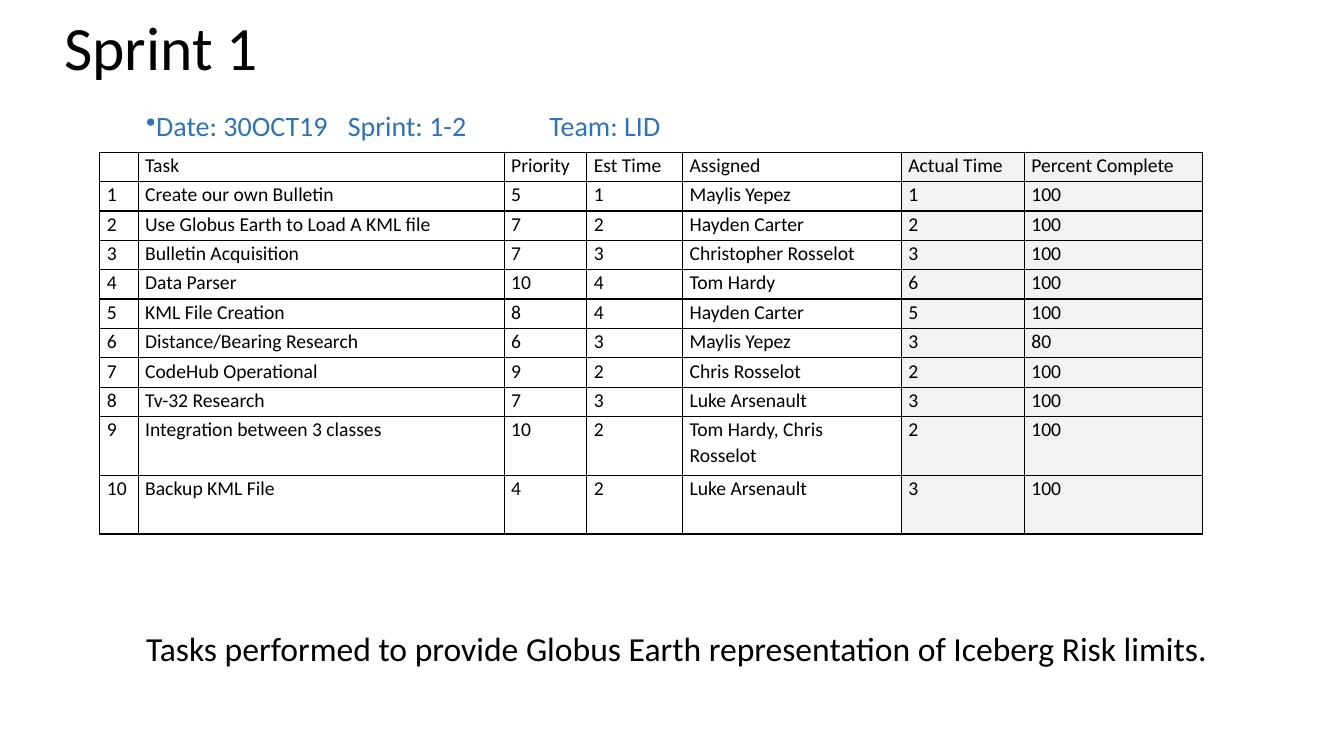
from lxml import etree
from pptx import Presentation
from pptx.dml.color import RGBColor
from pptx.enum import text as t
from pptx.oxml.ns import qn
from pptx.util import Inches, Pt

BLACK = RGBColor(0x00, 0x00, 0x00)
BLUE = RGBColor(0x2E, 0x74, 0xB5)
LIGHT_GRAY = RGBColor(0xF2, 0xF2, 0xF2)
FONT = "Calibri"

HEADERS = ["", "Task", "Priority", "Est Time", "Assigned", "Actual Time", "Percent Complete"]
TASKS = [
    ("Create our own Bulletin", 5, 1, "Maylis Yepez", 1, 100),
    ("Use Globus Earth to Load A KML file", 7, 2, "Hayden Carter", 2, 100),
    ("Bulletin Acquisition", 7, 3, "Christopher Rosselot", 3, 100),
    ("Data Parser", 10, 4, "Tom Hardy", 6, 100),
    ("KML File Creation", 8, 4, "Hayden Carter", 5, 100),
    ("Distance/Bearing Research", 6, 3, "Maylis Yepez", 3, 80),
    ("CodeHub Operational", 9, 2, "Chris Rosselot", 2, 100),
    ("Tv-32 Research", 7, 3, "Luke Arsenault", 3, 100),
    ("Integration between 3 classes", 10, 2, "Tom Hardy, Chris Rosselot", 2, 100),
    ("Backup KML File", 4, 2, "Luke Arsenault", 3, 100),
]
COLUMN_WIDTHS = [0.38, 3.63, 0.82, 0.95, 2.17, 1.22, 1.77]
ROW_UNITS = [1] * 9 + [2] * 2
FIRST_SHADED_COLUMN = 5


def write_text(frame, content, size=14, color=BLACK, line_spacing=None, bullet=None, tabs=()):
    paragraph = frame.paragraphs[0]
    paragraph.line_spacing = line_spacing
    if bullet:
        properties = paragraph._p.get_or_add_pPr()
        properties.set("marL", "0")
        properties.set("indent", "0")
        etree.SubElement(properties, qn("a:buChar"), char=bullet)
        tab_list = etree.SubElement(properties, qn("a:tabLst"))
        for position in tabs:
            etree.SubElement(tab_list, qn("a:tab"), pos=str(Inches(position)), algn="l")
    if not content:
        etree.SubElement(paragraph._p, qn("a:endParaRPr"), sz=str(size * 100))
        return
    run = paragraph.add_run()
    run.text = content
    run.font.name = FONT
    run.font.size = Pt(size)
    run.font.color.rgb = color


def add_text(slide, box, content, anchor=t.MSO_ANCHOR.TOP, insets=(0.1, 0.05, 0.1, 0.05), **style):
    frame = slide.shapes.add_textbox(*map(Inches, box)).text_frame
    frame.word_wrap = True
    frame.vertical_anchor = anchor
    (frame.margin_left, frame.margin_top,
     frame.margin_right, frame.margin_bottom) = map(Inches, insets)
    write_text(frame, content, **style)


def add_borders(cell):
    properties = cell._tc.get_or_add_tcPr()
    for side in ("lnL", "lnR", "lnT", "lnB"):
        line = etree.SubElement(properties, qn(f"a:{side}"), w=str(Pt(1)))
        fill = etree.SubElement(line, qn("a:solidFill"))
        etree.SubElement(fill, qn("a:srgbClr"), val=str(BLACK))


def add_task_table(slide, box):
    rows = [HEADERS] + [(number, *task) for number, task in enumerate(TASKS, 1)]
    table = slide.shapes.add_table(len(rows), len(HEADERS), *map(Inches, box)).table
    table.first_row = False
    table.horz_banding = False
    for column, width in zip(table.columns, COLUMN_WIDTHS):
        column.width = Inches(width)
    for row, units in zip(table.rows, ROW_UNITS):
        row.height = Inches(box[3] * units / sum(ROW_UNITS))
    for row_index, values in enumerate(rows):
        for column_index, value in enumerate(values):
            cell = table.cell(row_index, column_index)
            cell.margin_left = cell.margin_right = Inches(0.07)
            cell.margin_top = cell.margin_bottom = 0
            add_borders(cell)
            if column_index >= FIRST_SHADED_COLUMN:
                cell.fill.solid()
                cell.fill.fore_color.rgb = LIGHT_GRAY
            else:
                cell.fill.background()
            write_text(cell.text_frame, str(value), line_spacing=1.07)


def add_sprint_slide(presentation):
    slide = presentation.slides.add_slide(presentation.slide_layouts[6])
    add_text(slide, (0.54, 0.1, 11.5, 0.81), "Sprint 1",
             anchor=t.MSO_ANCHOR.MIDDLE, size=44, line_spacing=0.9)
    add_task_table(slide, (0.99, 1.51, 10.94, 3.79))
    add_text(slide, (1.15, 0.91, 5.44, 0.91), "Date: 30OCT19\tSprint: 1-2\tTeam: LID",
             insets=(0.3, 0.17, 0, 0), size=20, color=BLUE, bullet="•", tabs=(2, 4))
    add_text(slide, (1.35, 6.18, 10.92, 0.5),
             "Tasks performed to provide Globus Earth representation of Iceberg Risk limits.",
             size=24)


def main():
    presentation = Presentation()
    presentation.slide_width = Inches(13.33)
    presentation.slide_height = Inches(7.5)
    add_sprint_slide(presentation)
    presentation.save("out.pptx")


if __name__ == "__main__":
    main()
